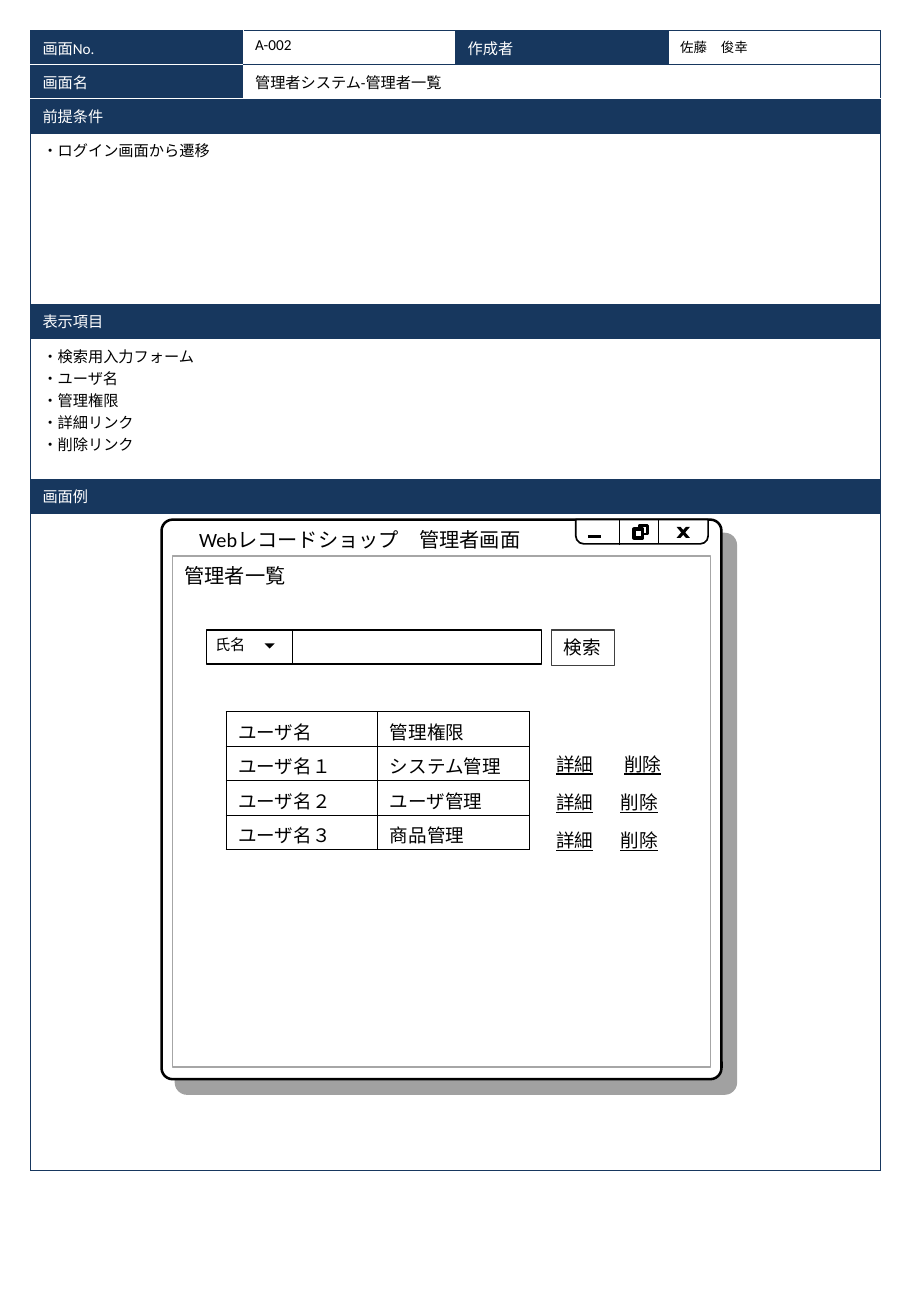
from lxml.etree import SubElement
from pptx import Presentation
from pptx.dml.color import RGBColor
from pptx.enum.shapes import MSO_CONNECTOR, MSO_SHAPE
from pptx.enum.text import MSO_ANCHOR, MSO_AUTO_SIZE, PP_ALIGN
from pptx.oxml.ns import qn
from pptx.util import Pt

PX = 9144  # 100 px to the inch
HUES = {"navy": "17375E", "white": "FFFFFF", "black": "000000",
        "gray": "A6A6A6", "dark": "404040"}
INK = {name: RGBColor.from_string(code) for name, code in HUES.items()}
PLAIN = "{2D5ABB26-0587-4C30-8999-92F81FD0307C}"  # no style, no grid


def write(frame, text, size, hue="black", font="Calibri"):
    frame.text = text
    for para in frame.paragraphs:
        para.alignment = PP_ALIGN.LEFT
        for run in para.runs:
            run.font.size = Pt(size)
            run.font.name = font
            run.font.color.rgb = INK[hue]


def edge(cell, hue, pale=""):
    """Draw the four borders of a cell; the sides in pale are white."""
    props = cell._tc.get_or_add_tcPr()
    for side in "LRTB":
        line = SubElement(props, qn(f"a:ln{side}"), w=str(Pt(0.45)))
        fill = SubElement(line, qn("a:solidFill"))
        shade = "white" if side in pale else hue
        SubElement(fill, qn("a:srgbClr"), val=HUES[shade])


deck = Presentation()
deck.slide_width, deck.slide_height = 750 * PX, 1084 * PX
slide = deck.slides.add_slide(deck.slide_layouts[5])
shapes = slide.shapes

# Tables: the specification form and the user list
form = shapes.add_table(8, 4, 25 * PX, 25 * PX, 700 * PX, 924 * PX).table
for row, high in zip(form.rows, (25, 25, 25, 141, 25, 116, 25, 541)):
    row.height = high * PX
form.cell(1, 1).merge(form.cell(1, 3))
for r in range(2, 8):
    form.cell(r, 0).merge(form.cell(r, 3))

# row, column, text, size, header?, white borders
fields = [
    (0, 0, "画面No.", 9, True, "RB"),
    (0, 1, "A-002", 9, False, "L"),
    (0, 2, "作成者", 9, True, ""),
    (0, 3, "佐藤　俊幸", 8, False, ""),
    (1, 0, "画面名", 9, True, "TRB"),
    (1, 1, "管理者システム-管理者一覧", 9, False, "LB"),
    (2, 0, "前提条件", 9, True, "T"),
    (3, 0, "・ログイン画面から遷移", 9, False, ""),
    (4, 0, "表示項目", 9, True, ""),
    (5, 0, "・検索用入力フォーム\n・ユーザ名\n・管理権限\n・詳細リンク\n・削除リンク",
     9, False, ""),
    (6, 0, "画面例", 9, True, ""),
    (7, 0, "", 9, False, ""),
]
for r, c, text, size, head, pale in fields:
    cell = form.cell(r, c)
    write(cell.text_frame, text, size, "white" if head else "black")
    edge(cell, "navy", pale)
    if head:
        cell.fill.solid()
        cell.fill.fore_color.rgb = INK["navy"]
    else:
        cell.fill.background()

# Browser window: kind, left, top, width, height, fill, line, line width
RECT, SLANT = MSO_SHAPE.RECTANGLE, MSO_SHAPE.PARALLELOGRAM
parts = [
    (MSO_SHAPE.ROUNDED_RECTANGLE, 133, 428, 461, 461, "white", "black", 1.5),
    (MSO_SHAPE.ROUND_2_SAME_RECTANGLE, 474, 428, 109, 20, "white", "black", 1),
    (RECT, 526, 433, 7, 7, "white", "black", 1.5),
    (RECT, 522, 436, 7, 7, "white", "black", 2.25),
    (SLANT, 557, 434, 11, 9, "black", None, 0),
    (SLANT, 557, 434, 11, 9, "black", None, 0),
    (RECT, 142, 458, 443, 421, "white", "gray", 1),
    (RECT, 170, 519, 276, 28, "white", "black", 1),
    (MSO_SHAPE.RIGHT_TRIANGLE, 219, 527, 6, 6, "black", None, 0),
]
made = []
for kind, x, y, w, h, fill, line, wide in parts:
    part = shapes.add_shape(kind, x * PX, y * PX, w * PX, h * PX)
    part.shadow.inherit = False
    part.fill.solid()
    part.fill.fore_color.rgb = INK[fill]
    if line:
        part.line.color.rgb = INK[line]
        part.line.width = Pt(wide)
    else:
        part.line.fill.background()
    made.append(part)

window, bar, _, _, left, right, _, _, arrow = made
window.adjustments[0] = 0.02
bar.adjustments[0] = 0.33
bar.rotation = 180
arrow.rotation = 315
left.adjustments[0] = right.adjustments[0] = 0.85
right._element.spPr.find(qn("a:xfrm")).set("flipH", "1")

effects = window._element.spPr.find(qn("a:effectLst"))
cast = SubElement(effects, qn("a:outerShdw"), blurRad="0", dist=str(Pt(12.1)),
                  dir="2700000", algn="tl", rotWithShape="0")
tint = SubElement(cast, qn("a:srgbClr"), val=HUES["black"])
SubElement(tint, qn("a:alpha"), val="37000")

for x1, y1, x2, y2, wide in [(542, 448, 542, 428, 0.75), (510, 449, 510, 428, 0.75),
                             (484, 442, 495, 442, 2.25), (241, 519, 241, 546, 0.75)]:
    rule = shapes.add_connector(MSO_CONNECTOR.STRAIGHT,
                                x1 * PX, y1 * PX, x2 * PX, y2 * PX)
    rule.line.color.rgb = INK["black"]
    rule.line.width = Pt(wide)
    SubElement(rule._element.spPr, qn("a:effectLst"))

# Window title, brought in front of the window
title = shapes.title
title.left, title.top, title.width, title.height = (
    n * PX for n in (154, 429, 313, 30))
title.text_frame.vertical_anchor = MSO_ANCHOR.TOP
title.text_frame.auto_size = MSO_AUTO_SIZE.NONE
write(title.text_frame, "Webレコードショップ　管理者画面", 12)
shapes._spTree.append(title._element)

# Labels, button and links: text, left, top, width, height, size
labels = [("管理者一覧", 142, 459, 117, 30, 12),
          ("検索", 454, 519, 52, 29, 11),
          ("氏名", 177, 519, 31, 23, 9)]
for y, x in ((615, 504), (647, 501), (678, 501)):
    labels += [("詳細", 448, y, 60, 29, 11), ("削除", x, y, 60, 29, 11)]
for text, x, y, w, h, size in labels:
    box = shapes.add_textbox(x * PX, y * PX, w * PX, h * PX)
    frame = box.text_frame
    frame.word_wrap = True
    frame.auto_size = MSO_AUTO_SIZE.SHAPE_TO_FIT_TEXT
    write(frame, text, size, font="Arial" if text == "氏名" else "Calibri")
    if text == "検索":
        box.line.color.rgb = INK["dark"]
        box.line.width = Pt(0.75)
    elif text == "氏名":
        frame.margin_left = frame.margin_right = 0
        frame.margin_top = frame.margin_bottom = 4 * PX
    elif text in ("詳細", "削除"):
        frame.paragraphs[0].runs[0].font.underline = True

users = shapes.add_table(4, 2, 186 * PX, 586 * PX, 250 * PX, 114 * PX).table
rights = [("ユーザ名", "管理権限"), ("ユーザ名１", "システム管理"),
          ("ユーザ名２", "ユーザ管理"), ("ユーザ名３", "商品管理")]
for r, pair in enumerate(rights):
    for c, text in enumerate(pair):
        cell = users.cell(r, c)
        write(cell.text_frame, text, 11)
        edge(cell, "black")
        cell.fill.background()

for table in (form, users):
    table.first_row = table.horz_banding = False
    table._tbl.tblPr.find(qn("a:tableStyleId")).text = PLAIN

deck.save("out.pptx")
